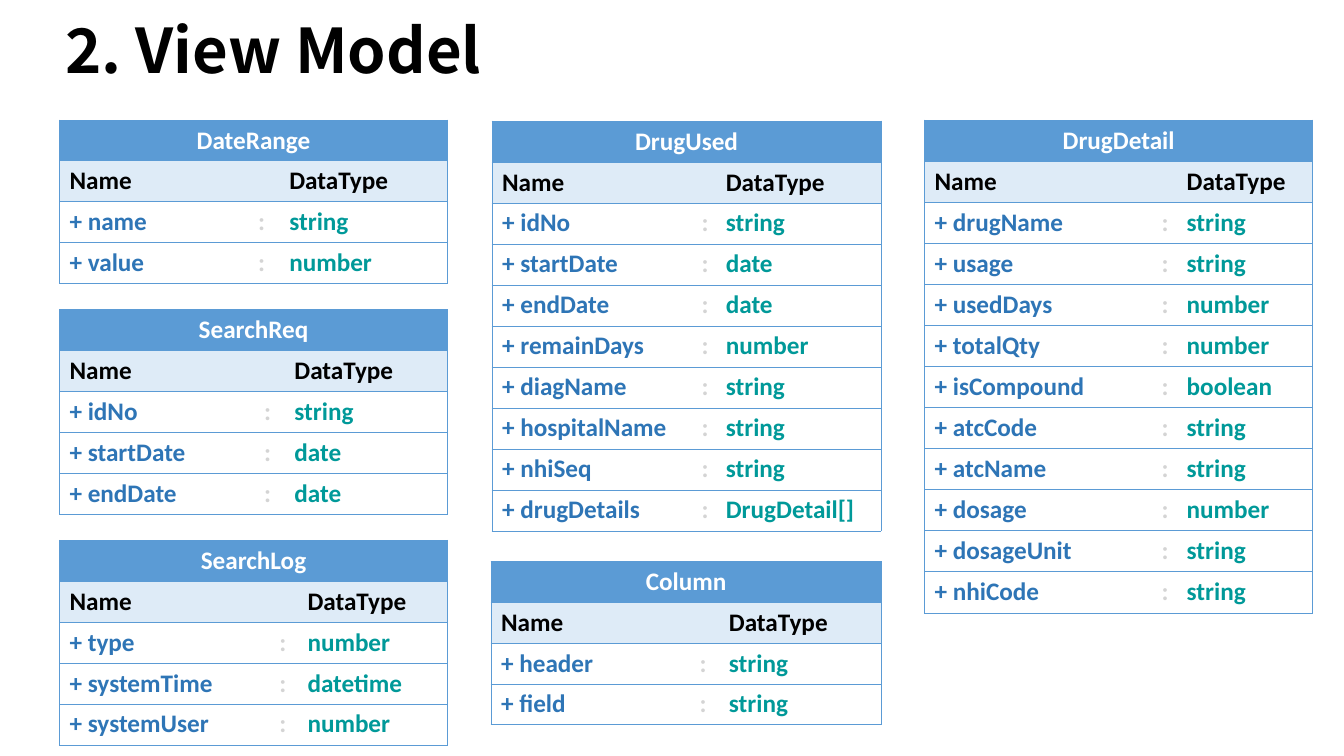
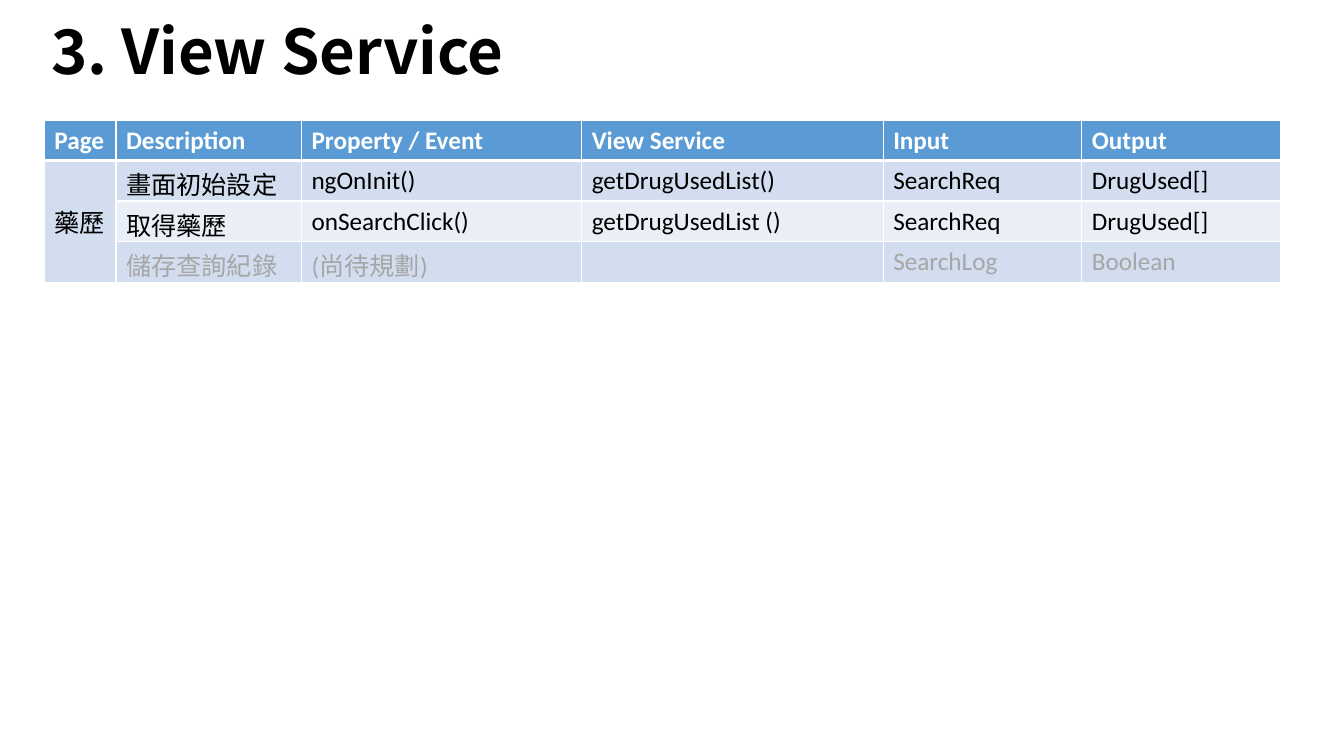
from dataclasses import dataclass

from lxml import etree
from pptx import Presentation
from pptx import util as u
from pptx.dml.color import RGBColor
from pptx.enum import text
from pptx.oxml import ns


@dataclass(frozen=True)
class Theme:
    black: str = "000000"
    white: str = "FFFFFF"
    header: str = "5B9BD5"
    subheader: str = "DEEBF7"
    member: str = "2E75B6"
    colon: str = "D4D4D4"
    datatype: str = "009999"
    band_dark: str = "D2DEEF"
    band_light: str = "EAEFF7"
    pending: str = "A6A6A6"
    latin: str = "Calibri"
    asian: str = "Noto Sans CJK SC"
    title_size: int = 44
    body_size: int = 18
    thin: float = 0.5
    medium: float = 1
    thick: float = 3


THEME = Theme()

# View models: box (left, top, width, height), widths of first two columns, members
MODELS = {
    "SearchReq": ((0.59, 3.07, 3.85, 2.03), (1.93, 0.3), [
        ("idNo", "string"), ("startDate", "date"), ("endDate", "date")]),
    "DateRange": ((0.59, 1.19, 3.85, 1.62), (1.87, 0.31), [
        ("name", "string"), ("value", "number")]),
    "SearchLog": ((0.59, 5.36, 3.85, 2.03), (2.08, 0.28), [
        ("type", "number"), ("systemTime", "datetime"),
        ("systemUser", "number")]),
    "DrugDetail": ((9.17, 1.19, 3.85, 4.89), (2.25, 0.25), [
        ("drugName", "string"), ("usage", "string"), ("usedDays", "number"),
        ("totalQty", "number"), ("isCompound", "boolean"),
        ("atcCode", "string"), ("atcName", "string"), ("dosage", "number"),
        ("dosageUnit", "string"), ("nhiCode", "string")]),
    "Column": ((4.87, 5.57, 3.87, 1.62), (1.97, 0.29), [
        ("header", "string"), ("field", "string")]),
    "DrugUsed": ((4.88, 1.2, 3.85, 4.07), (1.98, 0.23), [
        ("idNo", "string"), ("startDate", "date"), ("endDate", "date"),
        ("remainDays", "number"), ("diagName", "string"),
        ("hospitalName", "string"), ("nhiSeq", "string"),
        ("drugDetails", "DrugDetail[]")]),
}

SERVICE_COLUMNS = (0.71, 1.84, 2.78, 2.99, 1.97, 1.97)
SERVICE_ROWS = [
    ("Page", "Description", "Property\u00a0/ Event", "View Service",
     "Input", "Output"),
    ("藥歷", "畫面初始設定", "ngOnInit()", "getDrugUsedList()",
     "SearchReq", "DrugUsed[]"),
    ("", "取得藥歷", "onSearchClick()", "getDrugUsedList ()",
     "SearchReq", "DrugUsed[]"),
    ("", "儲存查詢紀錄", "(尚待規劃)", "", "SearchLog", "Boolean"),
]


# Shared text and table parts
def write(paragraph, content, color, size=THEME.body_size, bold=True,
          font=THEME.latin):
    run = paragraph.add_run()
    run.text = content
    values = {"name": font, "size": u.Pt(size), "bold": bold}
    for name, value in values.items():
        setattr(run.font, name, value)
    run.font.color.rgb = RGBColor.from_string(color)
    latin = run.font._element.find(ns.qn("a:latin"))
    latin.addnext(etree.Element(ns.qn("a:ea"), typeface=THEME.asian))


def add_title(slide, content, box):
    shape = slide.shapes.add_textbox(*map(u.Inches, box))
    frame = shape.text_frame
    values = {"word_wrap": True, "vertical_anchor": text.MSO_ANCHOR.MIDDLE}
    for name, value in values.items():
        setattr(frame, name, value)
    paragraph = frame.paragraphs[0]
    paragraph.line_spacing = 0.9
    write(paragraph, content, THEME.black, THEME.title_size, font=THEME.asian)


def add_grid(slide, box, row_count, widths):
    table = slide.shapes.add_table(
        row_count, len(widths), *map(u.Inches, box)).table
    table.first_row = table.horz_banding = False
    for column, width in zip(table.columns, widths):
        column.width = u.Inches(width)
    return table


def style_cell(cell, fill, color, widths):
    """Draw the sides named in widths (L, R, T, B), then fill the cell."""
    properties = cell._tc.get_or_add_tcPr()
    for side in "LRTB":
        width = widths.get(side, 0)
        line = etree.SubElement(properties, ns.qn(f"a:ln{side}"),
                                w=str(u.Pt(width)))
        if width:
            solid = etree.SubElement(line, ns.qn("a:solidFill"))
            etree.SubElement(solid, ns.qn("a:srgbClr"), val=color)
        else:
            etree.SubElement(line, ns.qn("a:noFill"))
    if fill:
        cell.fill.solid()
        cell.fill.fore_color.rgb = RGBColor.from_string(fill)
    else:
        cell.fill.background()


# One class box: name, column heads, members
def add_model(slide, name, box, widths, members):
    rows = [(name, "", ""), ("Name", "", "DataType")]
    rows += [(f"+ {member}", ":", kind) for member, kind in members]
    table = add_grid(slide, box, len(rows), (*widths, box[2] - sum(widths)))
    table.cell(0, 0).merge(table.cell(0, 2))
    fills = {0: THEME.header, 1: THEME.subheader}
    colors = {0: [THEME.white] * 3, 1: [THEME.black] * 3}
    member_colors = (THEME.member, THEME.colon, THEME.datatype)
    for r, row in enumerate(rows):
        for c, content in enumerate(row):
            cell = table.cell(r, c)
            sides = "TB" + "L" * (c == 0) + "R" * (c == 2 or r == 0)
            style_cell(cell, fills.get(r), THEME.header,
                       dict.fromkeys(sides, THEME.thin))
            if content:
                write(cell.text_frame.paragraphs[0], content,
                      colors.get(r, member_colors)[c])
    table.cell(0, 0).text_frame.paragraphs[0].alignment = text.PP_ALIGN.CENTER


# Service table: header row, banded rows, one page cell across them
def add_services(slide, box):
    table = add_grid(slide, box, len(SERVICE_ROWS), SERVICE_COLUMNS)
    last = len(SERVICE_ROWS) - 1
    table.cell(1, 0).merge(table.cell(last, 0))
    fills = (THEME.header, THEME.band_dark, THEME.band_light, THEME.band_dark)
    colors = (THEME.white, THEME.black, THEME.black, THEME.pending)
    for r, row in enumerate(SERVICE_ROWS):
        for c, content in enumerate(row):
            cell = table.cell(r, c)
            borders = dict.fromkeys("LRTB", THEME.medium)
            if r < 2:
                borders["TB"[r == 0]] = THEME.thick
            style_cell(cell, fills[r], THEME.white, borders)
            cell.vertical_anchor = text.MSO_ANCHOR.MIDDLE
            if content:
                asian = r > 0 and c < 2
                write(cell.text_frame.paragraphs[0], content, colors[r],
                      bold=r == 0, font=THEME.asian if asian else THEME.latin)


# Slides
def build_model_slide(slide):
    add_title(slide, "2. View Model", (0.55, 0.14, 12.17, 0.78))
    for name, (box, widths, members) in MODELS.items():
        add_model(slide, name, box, widths, members)


def build_service_slide(slide):
    add_title(slide, "3. View Service", (0.41, -0.1, 9.3, 1.28))
    add_services(slide, (0.44, 1.19, sum(SERVICE_COLUMNS), 1.61))


presentation = Presentation()
presentation.slide_width = u.Inches(13.33)
presentation.slide_height = u.Inches(7.5)
for build in (build_model_slide, build_service_slide):
    build(presentation.slides.add_slide(presentation.slide_layouts[6]))
presentation.save("out.pptx")
